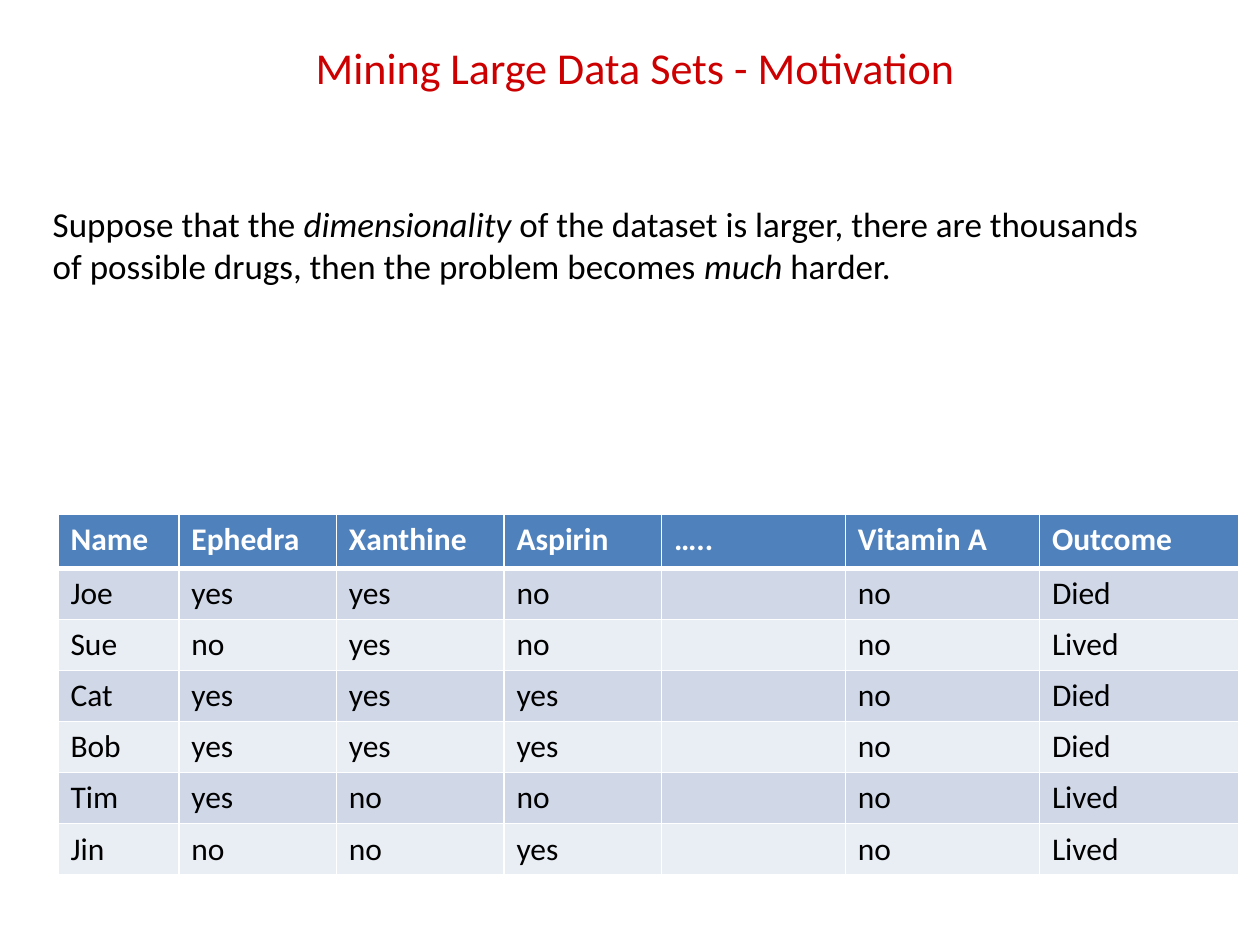
"""Build the slide on the motivation for mining large data sets."""
import pptx
import pptx.dml.color
import pptx.enum.text
import pptx.oxml
import pptx.oxml.ns
import pptx.util
from pptx.util import Inches

RGBColor = pptx.dml.color.RGBColor
RED = RGBColor(0xCC, 0x00, 0x00)
BLACK = RGBColor(0x00, 0x00, 0x00)
WHITE = RGBColor(0xFF, 0xFF, 0xFF)
HEADER_BLUE = RGBColor(0x4F, 0x81, 0xBD)
BANDS = (RGBColor(0xD0, 0xD8, 0xE8), RGBColor(0xE9, 0xED, 0xF4))
FONT = "Calibri"

STATEMENT = (
    ("Suppose that the ", False),
    ("dimensionality", True),
    (" of the dataset is larger, there are thousands of possible drugs, "
     "then the problem becomes ", False),
    ("much", True),
    (" harder.", False),
)
PATIENTS = (
    ("Name", "Ephedra", "Xanthine", "Aspirin", "…..", "Vitamin A", "Outcome"),
    ("Joe", "yes", "yes", "no", "", "no", "Died"),
    ("Sue", "no", "yes", "no", "", "no", "Lived"),
    ("Cat", "yes", "yes", "yes", "", "no", "Died"),
    ("Bob", "yes", "yes", "yes", "", "no", "Died"),
    ("Tim", "yes", "no", "no", "", "no", "Lived"),
    ("Jin", "no", "no", "yes", "", "no", "Lived"),
)
COLUMN_WIDTHS = (0.96, 1.25, 1.33, 1.25, 1.46, 1.54, 1.58)
HEADER_HEIGHT, ROW_HEIGHT = 0.43, 0.4


def add_run(paragraph, text, size, color, bold=False, italic=False):
    """Append a formatted run to a paragraph."""
    run = paragraph.add_run()
    run.text = text
    run.font.name = FONT
    run.font.size = pptx.util.Pt(size)
    run.font.color.rgb = color
    run.font.bold = bold
    run.font.italic = italic


def set_title(slide, text):
    """Place the title placeholder and fill it."""
    title = slide.shapes.title
    title.left, title.top = Inches(0.25), Inches(0.25)
    title.width, title.height = Inches(9.58), Inches(0.56)
    frame = title.text_frame
    frame.margin_left = frame.margin_right = 0
    frame.auto_size = pptx.enum.text.MSO_AUTO_SIZE.NONE
    frame.vertical_anchor = pptx.enum.text.MSO_ANCHOR.MIDDLE
    heading = frame.paragraphs[0]
    heading.alignment = pptx.enum.text.PP_ALIGN.CENTER
    add_run(heading, text, 25.2, RED)


def add_statement(slide):
    """Add the sentence with its emphasised words."""
    box = slide.shapes.add_textbox(
        Inches(0.32), Inches(1.56), Inches(8.92), Inches(0.77))
    frame = box.text_frame
    frame.word_wrap = True
    frame.auto_size = pptx.enum.text.MSO_AUTO_SIZE.SHAPE_TO_FIT_TEXT
    for text, emphasised in STATEMENT:
        add_run(frame.paragraphs[0], text, 20, BLACK, italic=emphasised)


def set_borders(cell, top, bottom):
    """Draw white cell borders with the given top and bottom points."""
    properties = cell._tc.get_or_add_tcPr()
    edges = (("lnL", 1), ("lnR", 1), ("lnT", top), ("lnB", bottom))
    for position, (edge, points) in enumerate(edges):
        border = pptx.oxml.parse_xml(
            f'<a:{edge} {pptx.oxml.ns.nsdecls("a")} w="{pptx.util.Pt(points)}">'
            f'<a:solidFill><a:srgbClr val="{WHITE}"/></a:solidFill></a:{edge}>')
        properties.insert(position, border)


def add_patient_table(slide):
    """Add the table of patients, drugs and outcomes."""
    height = HEADER_HEIGHT + ROW_HEIGHT * (len(PATIENTS) - 1)
    table = slide.shapes.add_table(
        len(PATIENTS), len(COLUMN_WIDTHS), Inches(0.46), Inches(4.08),
        Inches(sum(COLUMN_WIDTHS)), Inches(height)).table
    for column, width in zip(table.columns, COLUMN_WIDTHS):
        column.width = Inches(width)
    for index, patient in enumerate(PATIENTS):
        is_header = index == 0
        table.rows[index].height = Inches(
            HEADER_HEIGHT if is_header else ROW_HEIGHT)
        for cell, text in zip(table.rows[index].cells, patient):
            cell.fill.solid()
            cell.fill.fore_color.rgb = (
                HEADER_BLUE if is_header else BANDS[(index - 1) % 2])
            set_borders(cell, 3 if index == 1 else 1, 3 if is_header else 1)
            if text:
                add_run(cell.text_frame.paragraphs[0], text, 18,
                        WHITE if is_header else BLACK, bold=is_header)


def main():
    """Build and save the presentation."""
    presentation = pptx.Presentation()
    presentation.slide_width = Inches(10)
    presentation.slide_height = Inches(7.5)
    slide = presentation.slides.add_slide(presentation.slide_layouts[5])
    set_title(slide, "Mining Large Data Sets - Motivation")
    add_patient_table(slide)
    add_statement(slide)
    presentation.save("out.pptx")


if __name__ == "__main__":
    main()
